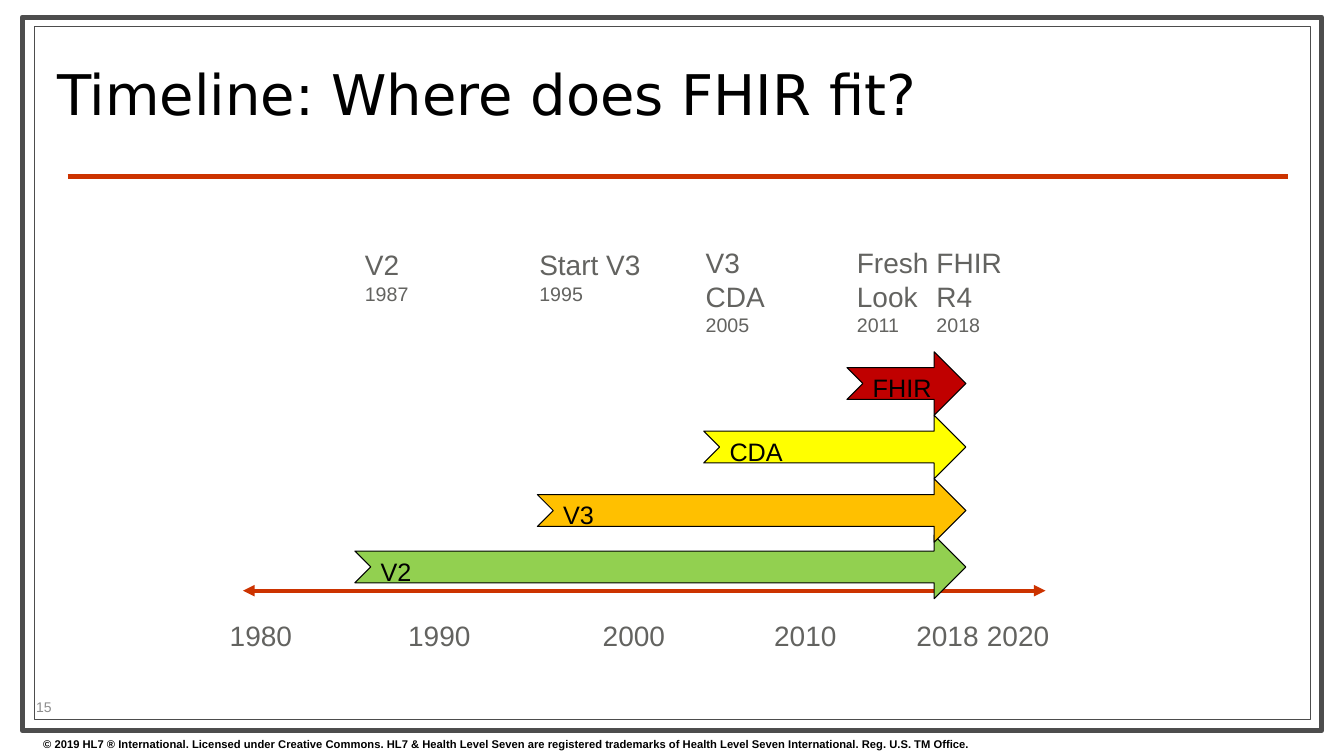
from dataclasses import dataclass

from lxml import etree
from pptx import Presentation
from pptx.dml.color import RGBColor
from pptx.enum import shapes, text
from pptx.oxml import ns
from pptx.util import Inches, Pt


@dataclass(frozen=True)
class Theme:
    black: str = "000000"
    white: str = "FFFFFF"
    frame: str = "4D4D4D"
    rule: str = "CC3300"
    label: str = "636360"
    number: str = "8C8C8C"
    font: str = "Arial"
    title_font: str = "DejaVu Sans"
    title_pt: float = 40
    label_pt: float = 20
    arrow_pt: float = 18
    year_pt: float = 14
    number_pt: float = 10
    footer_pt: float = 8


@dataclass(frozen=True)
class Box:
    left: float
    top: float
    width: float
    height: float

    def emu(self) -> list:
        return [Inches(v) for v in (self.left, self.top, self.width, self.height)]


@dataclass(frozen=True)
class Era:
    name: str
    left: float
    top: float
    color: str


@dataclass(frozen=True)
class Milestone:
    lines: tuple
    box: Box


@dataclass(frozen=True)
class Tick:
    year: str
    left: float


T = Theme()
ARROW_TIP, ARROW_HEIGHT = 9.58, 0.63
TICK_TOP, TICK_WIDTH, TICK_HEIGHT = 6.09, 0.83, 0.44

ERAS = [
    Era("V2", 3.52, 5.31, "92D050"),
    Era("V3", 5.33, 4.75, "FFC000"),
    Era("CDA", 6.98, 4.12, "FFFF00"),
    Era("FHIR", 8.4, 3.49, "C00000"),
]
MILESTONES = [
    Milestone(("V2", "1987"), Box(3.52, 2.41, 0.65, 0.67)),
    Milestone(("Start V3", "1995"), Box(5.25, 2.41, 1.22, 0.67)),
    Milestone(("V3", "CDA", "2005"), Box(6.9, 2.39, 0.82, 1.04)),
    Milestone(("Fresh", "Look", "2011"), Box(8.4, 2.39, 0.92, 1.04)),
    Milestone(("FHIR", "R4", "2018"), Box(9.19, 2.39, 0.86, 1.04)),
]
TICKS = [Tick("1980", 2.18), Tick("1990", 3.95), Tick("2000", 5.88),
         Tick("2010", 7.58), Tick("2018", 8.99), Tick("2020", 9.69)]


def style(p, size: float, color: str, font: str = T.font, bold: bool = False) -> None:
    for r in p.runs:
        r.font.name, r.font.size, r.font.bold = font, Pt(size), bold
        r.font.color.rgb = RGBColor.from_string(color)


def add_shape(s, kind, box: Box, fill: str, line: str, weight: float):
    sp = s.shapes.add_shape(kind, *box.emu())
    sp.shadow.inherit = False
    sp.fill.solid()
    sp.fill.fore_color.rgb = RGBColor.from_string(fill)
    sp.line.color.rgb = RGBColor.from_string(line)
    sp.line.width = Pt(weight)
    return sp


def add_text(s, box: Box, words: str, wrap: bool = True):
    tf = s.shapes.add_textbox(*box.emu()).text_frame
    tf.word_wrap = wrap
    if not wrap:
        tf.auto_size = text.MSO_AUTO_SIZE.SHAPE_TO_FIT_TEXT
    tf.text = words
    return tf


def add_rule(s, x1: float, x2: float, y: float, weight: float, arrows: bool = False) -> None:
    cx = s.shapes.add_connector(shapes.MSO_CONNECTOR.STRAIGHT,
                                Inches(x1), Inches(y), Inches(x2), Inches(y))
    cx.line.color.rgb = RGBColor.from_string(T.rule)
    cx.line.width = Pt(weight)
    if arrows:
        ln = cx._element.spPr.find(ns.qn("a:ln"))
        for end in ("a:headEnd", "a:tailEnd"):
            etree.SubElement(ln, ns.qn(end), type="triangle")
    etree.SubElement(cx._element.spPr, ns.qn("a:effectLst"))


def add_era(s, era: Era) -> None:
    box = Box(era.left, era.top, ARROW_TIP - era.left, ARROW_HEIGHT)
    sp = add_shape(s, shapes.MSO_SHAPE.NOTCHED_RIGHT_ARROW, box, era.color, T.black, 0.75)
    tf = sp.text_frame
    tf.text = era.name
    tf.vertical_anchor = text.MSO_ANCHOR.TOP
    p = tf.paragraphs[0]
    p.alignment = text.PP_ALIGN.LEFT
    style(p, T.arrow_pt, T.black)


def add_milestone(s, m: Milestone) -> None:
    *names, year = add_text(s, m.box, "\n".join(m.lines), wrap=False).paragraphs
    for p in names:
        style(p, T.label_pt, T.label)
    style(year, T.year_pt, T.label)


def main() -> None:
    prs = Presentation()
    prs.slide_width, prs.slide_height = Inches(13.33), Inches(7.5)
    s = prs.slides.add_slide(prs.slide_layouts[6])

    # Double frame and title rule
    rect = shapes.MSO_SHAPE.RECTANGLE
    add_shape(s, rect, Box(0.22, 0.17, 12.89, 7.08), T.white, T.frame, 3.5)
    add_shape(s, rect, Box(0.34, 0.26, 12.66, 6.88), T.white, T.frame, 0.75)
    add_rule(s, 0.67, 12.77, 1.75, 3)

    # Title
    tf = add_text(s, Box(0.47, 0.36, 9.55, 1.26), "Timeline: Where does FHIR fit?")
    tf.vertical_anchor = text.MSO_ANCHOR.MIDDLE
    tf.paragraphs[0].line_spacing = 0.8
    style(tf.paragraphs[0], T.title_pt, T.black, T.title_font)

    # Time axis and its years
    add_rule(s, 2.41, 10.37, 5.86, 2.75, arrows=True)
    for tick in TICKS:
        box = Box(tick.left, TICK_TOP, TICK_WIDTH, TICK_HEIGHT)
        style(add_text(s, box, tick.year, wrap=False).paragraphs[0], T.label_pt, T.label)

    # Milestones and the arrows below them
    for m in MILESTONES:
        add_milestone(s, m)
    for era in ERAS:
        add_era(s, era)

    # Slide number and copyright line
    tf = add_text(s, Box(0.26, 6.89, 1.05, 0.24), "15")
    tf.vertical_anchor = text.MSO_ANCHOR.MIDDLE
    style(tf.paragraphs[0], T.number_pt, T.number)
    tf = add_text(s, Box(0.33, 7.27, 13, 0.23),
                  "© 2019 HL7 ® International. Licensed under Creative Commons. "
                  "HL7 & Health Level Seven are registered trademarks of "
                  "Health Level Seven International. Reg. U.S. TM Office.")
    style(tf.paragraphs[0], T.footer_pt, T.black, bold=True)

    prs.save("out.pptx")


if __name__ == "__main__":
    main()
